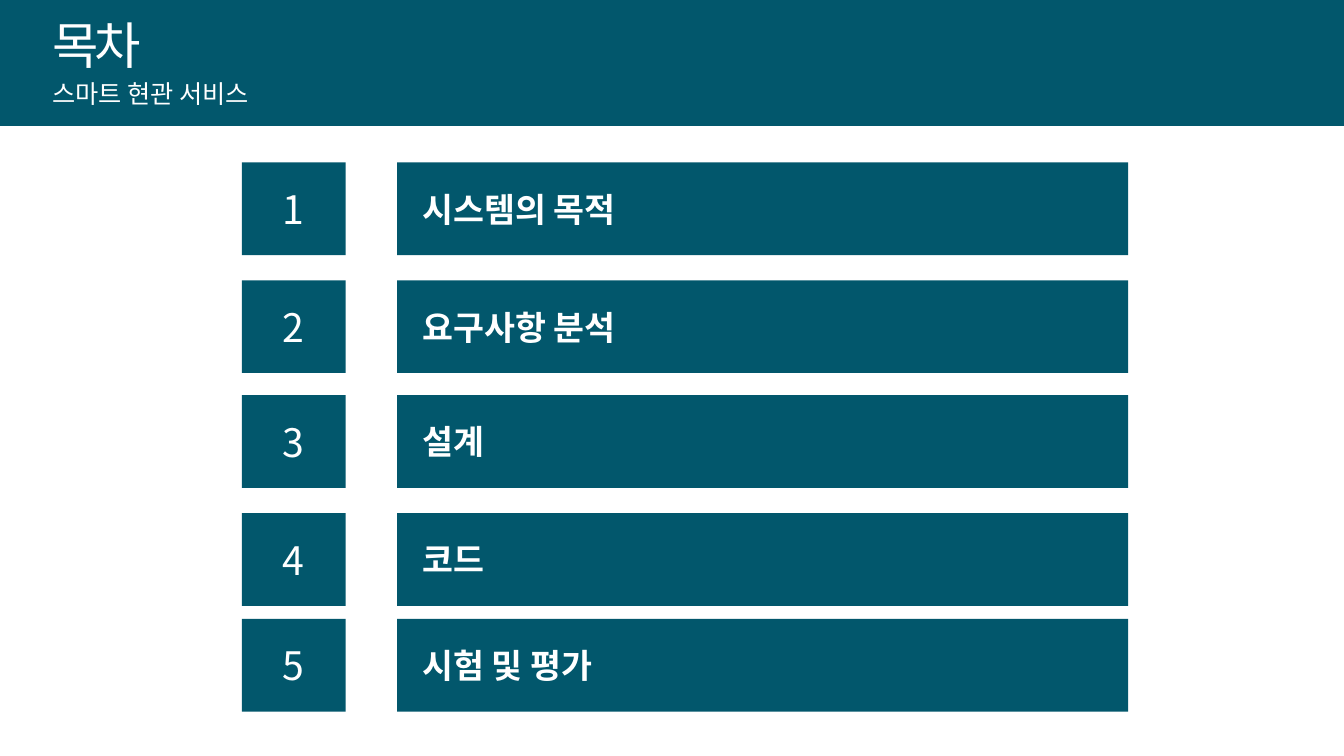
from pptx import Presentation
from pptx.dml.color import RGBColor
from pptx.enum.shapes import MSO_SHAPE
from pptx.enum.text import MSO_ANCHOR, PP_ALIGN
from pptx.oxml.ns import qn
from pptx.util import Inches, Pt
from lxml.etree import SubElement

TEAL = RGBColor(0x02, 0x57, 0x6C)
WHITE = RGBColor(0xFF, 0xFF, 0xFF)
FONT = "Noto Sans CJK KR"
WIDTH, HEIGHT = Inches(13.33), Inches(7.5)

TOPICS = ["시스템의 목적", "요구사항 분석", "설계", "코드", "시험 및 평가"]
OFFSETS = [0, 15.6, 30.8, 46.4, 60.4]


def place(left, top, width, height):
    """Turn columns and rows of a 100 by 100 grid into slide lengths."""
    return (round(left * WIDTH / 100), round(top * HEIGHT / 100),
            round(width * WIDTH / 100), round(height * HEIGHT / 100))


def write(shape, text, size=24, bold=False, align=PP_ALIGN.LEFT,
          anchor=MSO_ANCHOR.MIDDLE, inset=0.1, wrap=True, track=None):
    frame = shape.text_frame
    frame.word_wrap = wrap
    frame.vertical_anchor = anchor
    frame.margin_left = Inches(inset)
    line = frame.paragraphs[0]
    line.alignment = align
    run = line.add_run()
    run.text = text
    font = run.font
    font.size, font.bold, font.name = Pt(size), bold, FONT
    font.color.rgb = WHITE
    props = run._r.get_or_add_rPr()
    SubElement(props, qn("a:ea")).set("typeface", FONT)
    if track:
        props.set("spc", str(track * 100))


def block(slide, box):
    shape = slide.shapes.add_shape(MSO_SHAPE.RECTANGLE, *place(*box))
    shape.shadow.inherit = False
    shape.fill.solid()
    shape.fill.fore_color.rgb = TEAL
    shape.line.fill.background()
    return shape


def label(slide, box, text, **style):
    shape = slide.shapes.add_textbox(*place(*box))
    write(shape, text, anchor=MSO_ANCHOR.TOP, wrap=False, **style)


def header(slide, box):
    left, top, width, height = box
    block(slide, box)
    label(slide, (left + 3.15, top + 0.07 * height, 8.18, 0.57 * height),
          "목차", size=36, track=-3)
    label(slide, (left + 3.15, top + 0.58 * height, 17.93, 0.32 * height),
          "스마트 현관 서비스", size=18)


def agenda(slide, box):
    left, top, width, height = box
    tall = height - OFFSETS[-1]
    indent = 11.55
    for number, (topic, offset) in enumerate(zip(TOPICS, OFFSETS), 1):
        row = top + offset
        write(block(slide, (left, row, 7.73, tall)), str(number),
              size=28, align=PP_ALIGN.CENTER)
        write(block(slide, (left + indent, row, width - indent, tall)), topic,
              bold=True, inset=0.25)


def main():
    deck = Presentation()
    deck.slide_width, deck.slide_height = WIDTH, HEIGHT
    slide = deck.slides.add_slide(deck.slide_layouts[6])
    agenda(slide, (18, 21.47, 65.94, 72.67))
    header(slide, (0, 0, 100, 16.67))
    deck.save("out.pptx")


if __name__ == "__main__":
    main()
